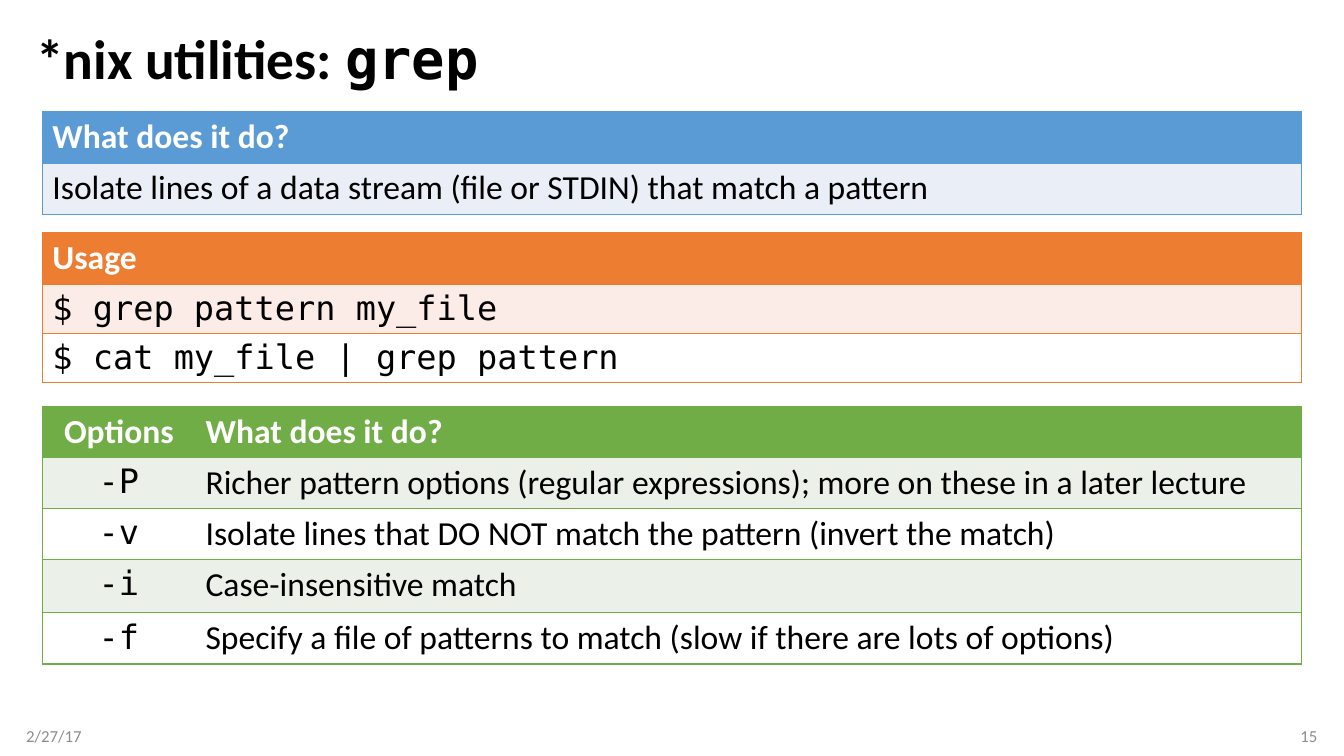
from lxml import etree
from pptx import Presentation
from pptx.dml.color import RGBColor
from pptx.enum.text import MSO_ANCHOR, PP_ALIGN
from pptx.oxml.ns import qn
from pptx.util import Pt

LEFT, CENTER, RIGHT = PP_ALIGN.LEFT, PP_ALIGN.CENTER, PP_ALIGN.RIGHT
MIDDLE = MSO_ANCHOR.MIDDLE
SANS, MONO = "Calibri", "DejaVu Sans Mono"
BLACK, WHITE, GREY = "000000", "FFFFFF", "8C8C8C"

# Content
TITLE = [("*nix utilities: ", SANS), ("grep", MONO)]
DATE, PAGE = "2/27/17", "15"
TABLE_LEFT = 30.24
ROW_HEIGHT = 35
SECTIONS = [
    dict(top=79.9, color="5B9BD5", band="EAEFF7", widths=[899.3],
         fonts=[SANS], aligns=[LEFT], tall_rows={},
         rows=[["What does it do?"],
               ["Isolate lines of a data stream (file or STDIN) that match a pattern"]]),
    dict(top=166.3, color="ED7D31", band="FCECE8", widths=[899.3],
         fonts=[MONO], aligns=[LEFT], tall_rows={},
         rows=[["Usage"],
               ["$ grep pattern my_file"],
               ["$ cat my_file | grep pattern"]]),
    dict(top=290.2, color="70AD47", band="EBF1E9", widths=[109.4, 789.9],
         fonts=[MONO, SANS], aligns=[CENTER, LEFT], tall_rows={3: 38},
         rows=[["Options", "What does it do?"],
               ["-P", "Richer pattern options (regular expressions); "
                      "more on these in a later lecture"],
               ["-v", "Isolate lines that DO NOT match the pattern (invert the match)"],
               ["-i", "Case-insensitive match"],
               ["-f", "Specify a file of patterns to match "
                      "(slow if there are lots of options)"]]),
]


def rgb(color):
    return RGBColor.from_string(color)


def write(paragraph, text, font=SANS, size=24, color=BLACK, bold=False, align=LEFT):
    paragraph.alignment = align
    run = paragraph.add_run()
    run.text = text
    run.font.name, run.font.size, run.font.bold = font, Pt(size), bold
    run.font.color.rgb = rgb(color)


def add_border(cell, side, color):
    """Draw one side of a cell, or hide it when color is None."""
    properties = cell._tc.get_or_add_tcPr()
    line = etree.SubElement(properties, qn(f"a:ln{side}"), w=str(Pt(1)))
    if color is None:
        etree.SubElement(line, qn("a:noFill"))
    else:
        fill = etree.SubElement(line, qn("a:solidFill"))
        etree.SubElement(fill, qn("a:srgbClr"), val=color)


def add_section(slide, section):
    rows, widths, color = section["rows"], section["widths"], section["color"]
    heights = [section["tall_rows"].get(i, ROW_HEIGHT) for i in range(len(rows))]
    table = slide.shapes.add_table(
        len(rows), len(widths), Pt(TABLE_LEFT), Pt(section["top"]),
        Pt(sum(widths)), Pt(sum(heights))).table
    table.horz_banding = False
    for column, width in zip(table.columns, widths):
        column.width = Pt(width)
    for r, texts in enumerate(rows):
        table.rows[r].height = Pt(heights[r])
        header = r == 0
        for c, text in enumerate(texts):
            cell = table.cell(r, c)
            # Only the outer vertical edges are visible
            add_border(cell, "L", color if c == 0 else None)
            add_border(cell, "R", color if c == len(widths) - 1 else None)
            add_border(cell, "T", color)
            add_border(cell, "B", color)
            cell.fill.solid()
            cell.fill.fore_color.rgb = rgb(
                color if header else section["band"] if r % 2 else WHITE)
            write(cell.text_frame.paragraphs[0], text,
                  font=SANS if header else section["fonts"][c],
                  color=WHITE if header else BLACK,
                  bold=header, align=section["aligns"][c])


def add_footer(slide, left, text, align):
    frame = slide.shapes.add_textbox(Pt(left), Pt(511.2), Pt(216), Pt(28.8)).text_frame
    frame.word_wrap = True
    frame.vertical_anchor = MIDDLE
    if align == LEFT:
        frame.margin_left = 0
    else:
        frame.margin_right = 0
    write(frame.paragraphs[0], text, size=12, color=GREY, align=align)


presentation = Presentation()
presentation.slide_width, presentation.slide_height = Pt(960), Pt(540)
slide = presentation.slides.add_slide(presentation.slide_layouts[5])

# Title
title = slide.shapes.title
title.left, title.top, title.width, title.height = Pt(18.7), Pt(18), Pt(922.3), Pt(51.8)
title.text_frame.vertical_anchor = MIDDLE
heading = title.text_frame.paragraphs[0]
heading.line_spacing = 0.9
for text, font in TITLE:
    write(heading, text, font=font, size=39.6, bold=True)

# Tables
for section in SECTIONS:
    add_section(slide, section)

# Date and page number
add_footer(slide, 18.7, DATE, LEFT)
add_footer(slide, 725, PAGE, RIGHT)

presentation.save("out.pptx")
